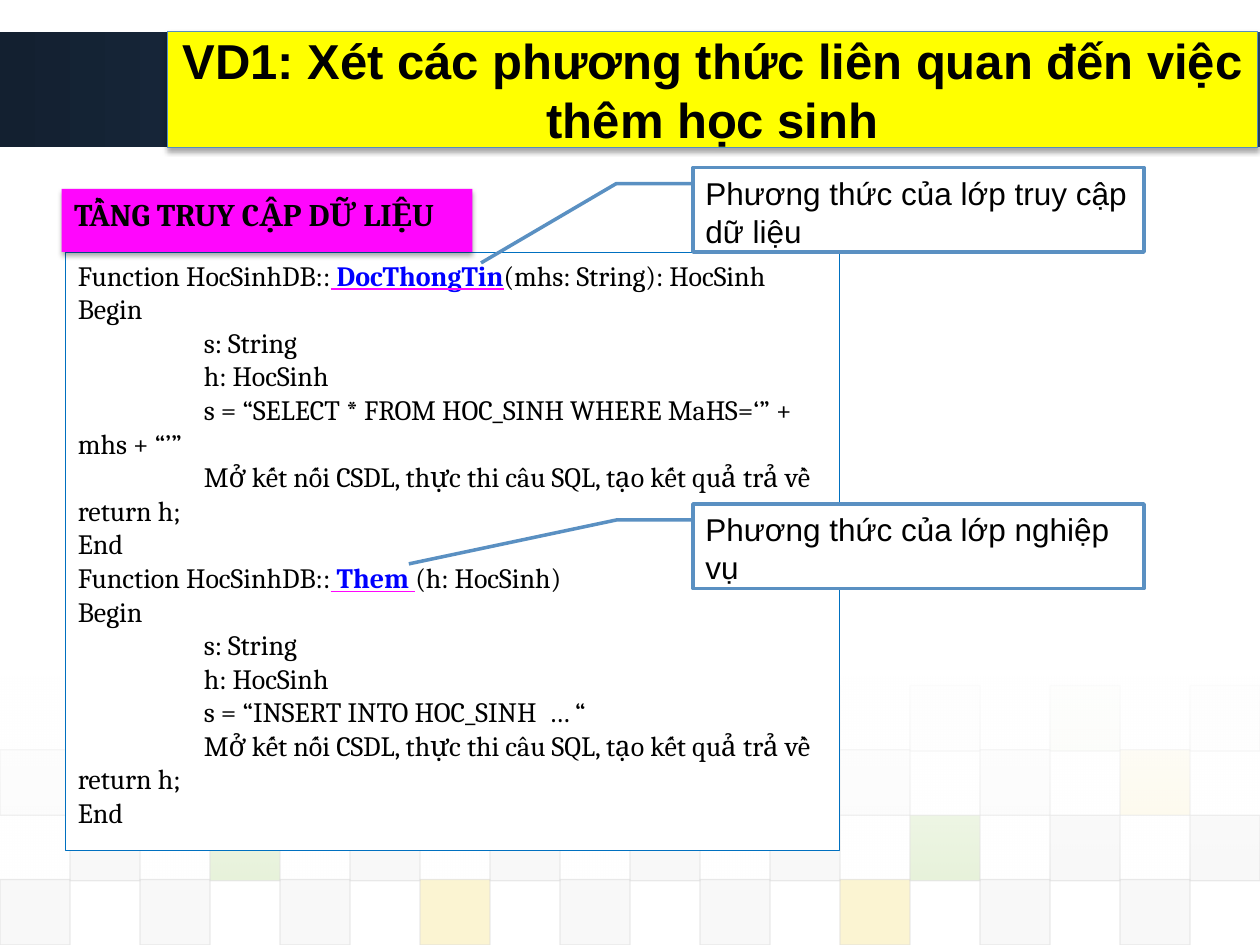
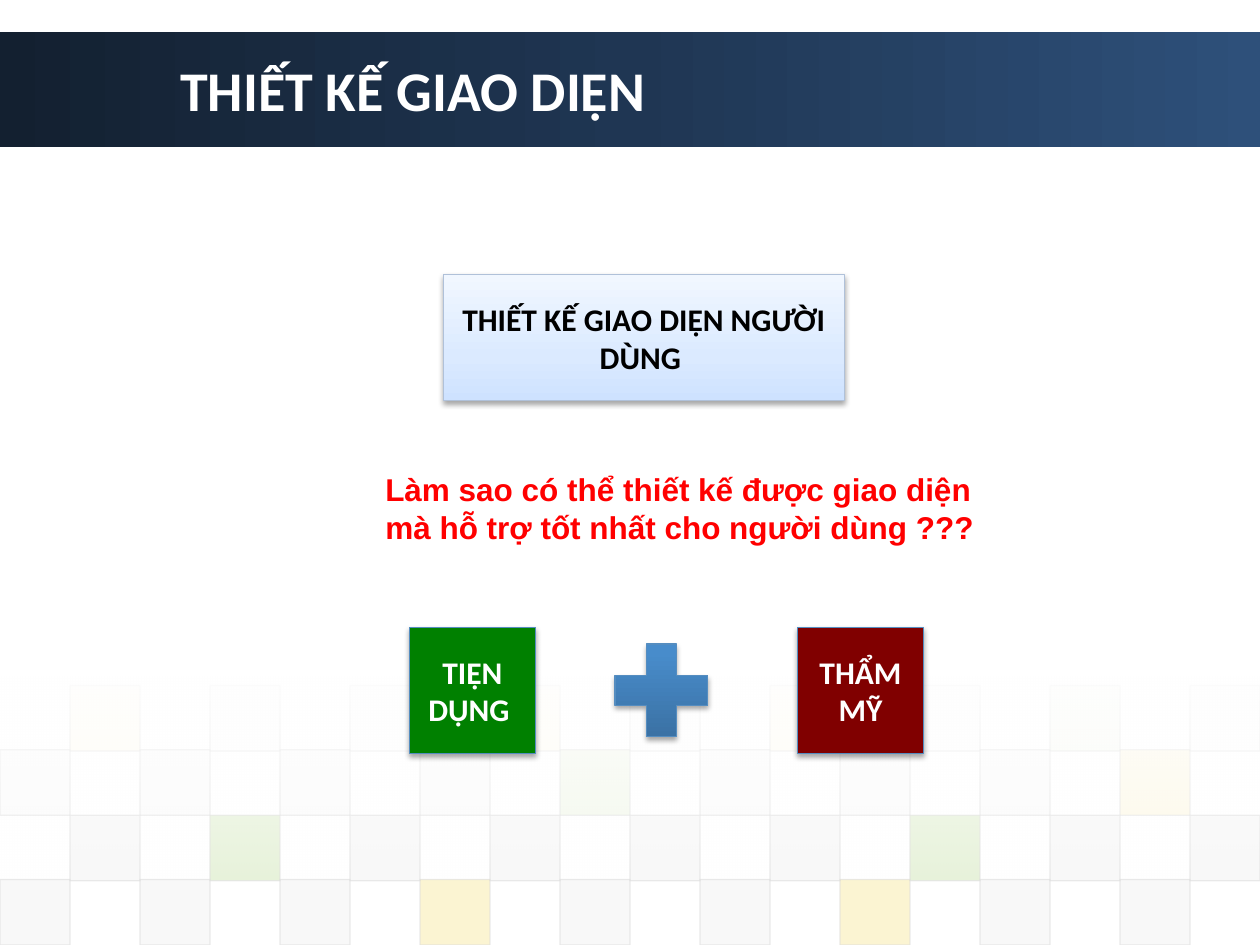
from lxml import etree
from pptx import Presentation
from pptx.dml.color import RGBColor
from pptx.enum.shapes import MSO_SHAPE
from pptx.enum.text import MSO_ANCHOR, MSO_AUTO_SIZE, PP_ALIGN
from pptx.oxml.ns import qn
from pptx.util import Inches, Pt

RECTANGLE, PLUS, CALLOUT = MSO_SHAPE.RECTANGLE, MSO_SHAPE.MATH_PLUS, MSO_SHAPE.LINE_CALLOUT_2
TOP, MIDDLE = MSO_ANCHOR.TOP, MSO_ANCHOR.MIDDLE
LEFT, CENTER = PP_ALIGN.LEFT, PP_ALIGN.CENTER
NO_AUTOFIT = MSO_AUTO_SIZE.NONE
TITLE_ONLY = 5

COLORS = {
    "white": "FFFFFF", "black": "000000", "red": "FF0000", "yellow": "FFFF00",
    "magenta": "FF06FD", "method": "0000FF", "code border": "0070C0",
    "callout": "5A90C2", "edge": "558DC0", "soft edge": "B0C1D9",
    "green": "008000", "maroon": "800000",
    "tile": "DDDDDD", "pale tile": "EAEAEA", "lime tile": "8AC246", "gold tile": "EFC821",
}
BAND = [(0, "132030", 100), (50, "1F3653", 100), (100, "2E507A", 100)]
FADE = [(0, "FFFFFF", 90), (100, "FFFFFF", 0)]
ICE = [(0, "CEE2FF", 100), (35, "DBEAFF", 100), (100, "F1F7FF", 100)]
STEEL = [(0, "386C9C", 100), (80, "488CCB", 100), (100, "468DCF", 100)]

# Tile rows: top, first column, opacity, usual colour, colours of single columns
TILE_WIDTH, TILE_HEIGHT = 10 / 18, 0.52
TILE_ROWS = [
    (5.44, 1, 5, "pale tile", {1: "gold tile", 7: "gold tile", 9: "tile",
                               11: "gold tile", 15: "lime tile"}),
    (5.95, 0, 10, "tile", {8: "lime tile", 16: "gold tile"}),
    (6.47, 1, 20, "tile", {3: "lime tile", 13: "lime tile"}),
    (6.98, 0, 20, "tile", {6: "gold tile", 12: "gold tile"}),
]

TITLE_BOX = (1.33, 0.25, 8.65, 0.92)
CODE_BOX = (0.52, 2, 6.14, 4.75)
CONNECT = "\tMở kết nối CSDL, thực thi câu SQL, tạo kết quả trả về \treturn h;"
DECLARE = ["Begin", "\ts: String", "\th: HocSinh"]
# A code line is plain text, or a list of (text, style) spans
CODE = [
    [("Function HocSinhDB::", "plain"), (" DocThongTin", "method"),
     ("(mhs: String): HocSinh", "plain")],
    *DECLARE,
    "\ts = “SELECT * FROM HOC_SINH WHERE MaHS=‘” + \tmhs + “’”",
    CONNECT,
    "End",
    [("Function HocSinhDB::", "plain"), (" Them", "method"), (" ", "magenta"),
     ("(h: HocSinh)", "plain")],
    *DECLARE,
    "\ts = “INSERT INTO HOC_SINH  … “",
    CONNECT,
    "End",
]


def rgb(name):
    return RGBColor.from_string(COLORS[name])


def add_node(parent, tag, **attributes):
    node = etree.SubElement(parent, qn(tag))
    for key, value in attributes.items():
        node.set(key, str(value))
    return node


def set_alpha(fill_parent, percent):
    color = fill_parent.find(qn("a:solidFill")).find(qn("a:srgbClr"))
    add_node(color, "a:alpha", val=percent * 1000)


def set_gradient(shape, stops, angle):
    geometry = shape._element.spPr.find(qn("a:prstGeom"))
    gradient = etree.Element(qn("a:gradFill"), rotWithShape="1")
    stop_list = add_node(gradient, "a:gsLst")
    for position, color, alpha in stops:
        stop = add_node(stop_list, "a:gs", pos=position * 1000)
        add_node(add_node(stop, "a:srgbClr", val=color), "a:alpha", val=alpha * 1000)
    add_node(gradient, "a:lin", ang=angle * 60000, scaled=0)
    geometry.addnext(gradient)


def add_shadow(shape):
    shape.shadow.inherit = False
    effects = shape._element.spPr.find(qn("a:effectLst"))
    shadow = add_node(effects, "a:outerShdw", blurRad=Pt(3.1), dist=Pt(1.8),
                      dir=90 * 60000, rotWithShape=0)
    add_node(add_node(shadow, "a:srgbClr", val=COLORS["black"]), "a:alpha", val=35000)


def paint(shape, fill, line=None, width=0.75):
    if fill:
        shape.fill.solid()
        shape.fill.fore_color.rgb = rgb(fill)
    if line:
        shape.line.color.rgb = rgb(line)
        shape.line.width = Pt(width)
    else:
        shape.line.fill.background()


def add_figure(slide, kind, place, fill=None, gradient=None, line=None, width=0.75,
               shadow=False):
    shape = slide.shapes.add_shape(kind, *map(Inches, place))
    if gradient:
        set_gradient(shape, *gradient)
    paint(shape, fill, line, width)
    shape.shadow.inherit = False
    if shadow:
        add_shadow(shape)
    return shape


def format_paragraph(para, size, font, color, bold=False, align=LEFT):
    para.alignment = align
    para.font.size = Pt(size)
    para.font.name = font
    para.font.bold = bold
    para.font.color.rgb = rgb(color)


def write(shape, text, size, font, color, bold=False, align=LEFT, anchor=TOP):
    frame = shape.text_frame
    frame.word_wrap = True
    frame.auto_size = NO_AUTOFIT
    frame.vertical_anchor = anchor
    frame.text = text
    format_paragraph(frame.paragraphs[0], size, font, color, bold, align)


def write_span(para, text, style):
    span = para.add_run()
    span.text = text
    if style == "plain":
        return
    span.font.bold = span.font.underline = True
    span.font.color.rgb = rgb(style)
    underline = add_node(span.font._element, "a:uFill")
    add_node(add_node(underline, "a:solidFill"), "a:srgbClr", val=COLORS["magenta"])


def add_tab_stops(para):
    stops = add_node(para._p.get_or_add_pPr(), "a:tabLst")
    for inch in range(1, 7):
        add_node(stops, "a:tab", pos=Inches(inch), algn="l")


def add_code(slide, lines):
    box = add_figure(slide, RECTANGLE, CODE_BOX, "white", line="code border", width=0.25)
    frame = box.text_frame
    frame.word_wrap = True
    frame.vertical_anchor = TOP
    for index, line in enumerate(lines):
        para = frame.add_paragraph() if index else frame.paragraphs[0]
        add_tab_stops(para)
        format_paragraph(para, 16, "Cambria", "black")
        for text, style in [(line, "plain")] if isinstance(line, str) else line:
            write_span(para, text, style)


def add_callout(slide, top, text, tip):
    callout = add_figure(slide, CALLOUT, (5.5, top, 3.58, 0.67), "white",
                         line="callout", width=2)
    for index, value in enumerate((0.19, 0, 0.19, -0.17, *tip)):
        callout.adjustments[index] = value
    write(callout, text, 18, "Arial", "black")


def is_covered(left, top, cover):
    if cover is None:
        return False
    x, y, width, height = cover
    return (x <= left and left + TILE_WIDTH <= x + width
            and y <= top and top + TILE_HEIGHT <= y + height)


def add_backdrop(slide, cover):
    add_figure(slide, RECTANGLE, (0, 0.25, 10, 0.92), gradient=(BAND, 0))
    for top, first, alpha, usual, special in TILE_ROWS:
        for column in range(first, 18, 2):
            left = column * TILE_WIDTH
            if is_covered(left, top, cover):
                continue
            tile = add_figure(slide, RECTANGLE, (left, top, TILE_WIDTH, TILE_HEIGHT),
                              special.get(column, usual), line="tile")
            properties = tile._element.spPr
            set_alpha(properties, alpha)
            set_alpha(properties.find(qn("a:ln")), 60)
    add_figure(slide, RECTANGLE, (0, 5.37, 10, 1.62), gradient=(FADE, 90))


def add_page(deck, title, size, font, color, align, cover=None):
    page = deck.slides.add_slide(deck.slide_layouts[TITLE_ONLY])
    add_backdrop(page, cover)
    heading = page.shapes.title
    page.shapes._spTree.append(heading._element)  # bring in front of the band
    heading.left, heading.top, heading.width, heading.height = map(Inches, TITLE_BOX)
    write(heading, title, size, font, color, True, align, MIDDLE)
    return page


def build_methods_page(deck):
    page = add_page(deck, "VD1: Xét các phương thức liên quan đến việc thêm học sinh",
                    28, "Arial", "black", CENTER, CODE_BOX)
    heading = page.shapes.title
    paint(heading, "yellow", "edge")
    add_shadow(heading)

    add_code(page, CODE)
    layer = add_figure(page, RECTANGLE, (0.49, 1.5, 3.26, 0.5), "magenta", shadow=True)
    write(layer, "TẦNG TRUY CẬP DỮ LIỆU", 18, "Cambria", "black", True)
    add_callout(page, 1.33, "Phương thức của lớp truy cập dữ liệu", (1.13, -0.47))
    add_callout(page, 4, "Phương thức của lớp nghiệp vụ", (0.71, -0.63))


def build_interface_page(deck):
    page = add_page(deck, "THIẾT KẾ GIAO DIỆN", 32, "Calibri", "white", LEFT)

    topic = add_figure(page, RECTANGLE, (3.52, 2.18, 3.18, 1), gradient=(ICE, 270),
                       line="soft edge", shadow=True)
    write(topic, "THIẾT KẾ GIAO DIỆN NGƯỜI DÙNG ", 18, "Calibri", "black", True,
          CENTER, MIDDLE)
    question = page.shapes.add_textbox(*map(Inches, (2.96, 3.68, 5.03, 0.71)))
    write(question, "Làm sao có thể thiết kế được giao diện mà hỗ trợ tốt nhất "
          "cho người dùng ???", 18, "Arial", "red", True)

    # Two goals joined by a plus sign
    for left, fill, text in [(3.25, "green", "TIỆN DỤNG "), (6.33, "maroon", "THẨM MỸ")]:
        goal = add_figure(page, RECTANGLE, (left, 4.98, 1, 1), fill, line="edge", shadow=True)
        write(goal, text, 18, "Calibri", "white", True, CENTER, MIDDLE)
    add_figure(page, PLUS, (4.75, 4.98, 1, 1), gradient=(STEEL, 270), line="edge", shadow=True)


def main():
    deck = Presentation()
    deck.slide_width, deck.slide_height = Inches(10), Inches(7.5)
    build_methods_page(deck)
    build_interface_page(deck)
    deck.save("out.pptx")


if __name__ == "__main__":
    main()
